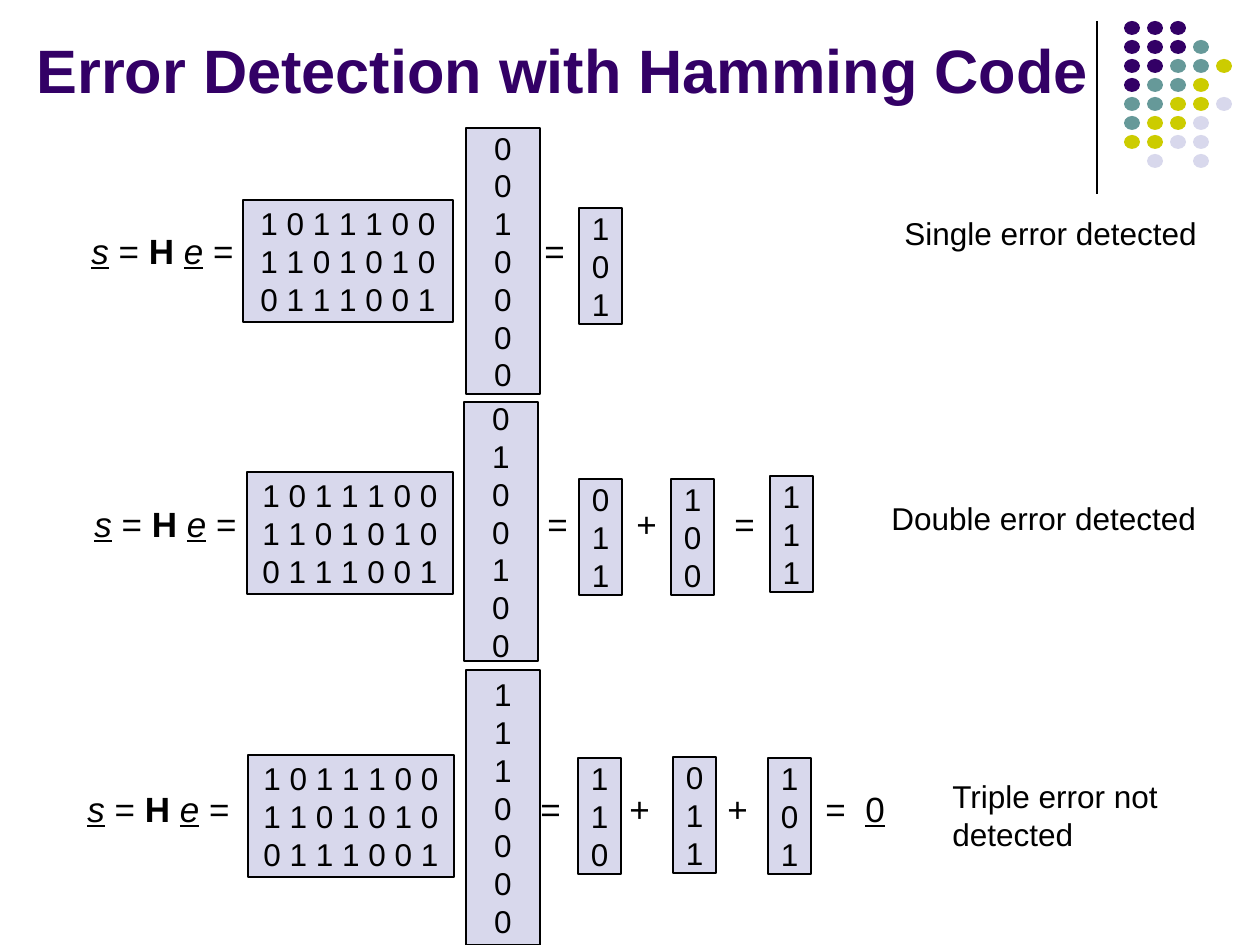
from lxml import etree
from pptx import Presentation
from pptx.dml.color import RGBColor
from pptx.enum.shapes import MSO_CONNECTOR, MSO_SHAPE
from pptx.enum.text import MSO_ANCHOR as Anchor, PP_ALIGN as Align
from pptx.oxml.ns import qn
from pptx.util import Pt

PX = 914400 / 126
BLACK, PURPLE, TEAL, LIME, LILAC = "000000", "330066", "669999", "CCCC00", "D8D8EC"
DOT_COLORS = {"P": PURPLE, "T": TEAL, "L": LIME, "W": LILAC}
DOT_ROWS = ["PPP", "PPPT", "PPTTL", "PTTL", "TTLLW", "TLLW", "LLWW", " W W"]
PARITY_MATRIX = ["1 0 1 1 1 0 0", "1 1 0 1 0 1 0", "0 1 1 1 0 0 1"]
OPERATOR_TABS = [453, 542, 640, 738, 778]
PLAIN, BOLD = {}, {"bold": True}
UNDERLINED = {"underline": True}
VECTOR_NAME = {"italic": True, "underline": True}

# Boxes are (left, top, width, height) in px; columns are (left, top, digits).
ROWS = [
    {"equation": (79, 223, 502, 54), "operators": "=", "result": "",
     "matrix": (243, 200, 210, 122),
     "error": ((466, 128, 74, 266), "0010000"),
     "columns": [(579, 208, "101")],
     "label": (892, 208, 318, 88), "text": "Single error detected"},
    {"equation": (82, 496, 732, 54), "operators": "=+=", "result": "",
     "matrix": (247, 472, 206, 122),
     "error": ((464, 402, 74, 259), "0100100"),
     "columns": [(579, 479, "011"), (671, 479, "100"), (770, 476, "111")],
     "label": (879, 493, 330, 88), "text": "Double error detected"},
    {"equation": (75, 781, 843, 54), "operators": "=++=", "result": "0",
     "matrix": (248, 755, 206, 122),
     "error": ((466, 670, 74, 275), "1110000"),
     "columns": [(578, 758, "110"), (673, 757, "011"), (768, 758, "101")],
     "label": (940, 771, 286, 88), "text": "Triple error not detected"},
]


def px(value):
    return round(value * PX)


def color(hex_value):
    return RGBColor.from_string(hex_value)


def add_span(para, text, size, font_color=BLACK, style=PLAIN):
    span = para.add_run()
    span.text = text
    font = span.font
    font.color.rgb = color(font_color)
    for name, value in {"name": "Arial", "size": Pt(size), **style}.items():
        setattr(font, name, value)


def add_text(page, box, spans, size, font_color=BLACK, anchor=Anchor.TOP):
    """Add a one-paragraph text box from (text, style) pairs and return the paragraph."""
    frame = page.shapes.add_textbox(*map(px, box)).text_frame
    frame.word_wrap = True
    frame.vertical_anchor = anchor
    para = frame.paragraphs[0]
    for text, style in spans:
        add_span(para, text, size, font_color, style)
    return para


def add_filled(page, kind, box, fill):
    shape = page.shapes.add_shape(kind, *map(px, box))
    shape.shadow.inherit = False
    shape.fill.solid()
    shape.fill.fore_color.rgb = color(fill)
    shape.line.fill.background()
    return shape


def add_matrix(page, box, lines):
    """Add a bordered box with one centred paragraph per matrix row."""
    shape = add_filled(page, MSO_SHAPE.RECTANGLE, box, LILAC)
    shape.line.color.rgb = color(BLACK)
    shape.line.width = Pt(1)
    frame = shape.text_frame
    frame.word_wrap = False
    frame.vertical_anchor = Anchor.MIDDLE
    for index, line in enumerate(lines):
        para = frame.add_paragraph() if index else frame.paragraphs[0]
        para.alignment = Align.CENTER
        add_span(para, line, 18)


def add_equation(page, box, operators, result):
    """Add s = H e = ..., with its operators set on tab stops."""
    spans = [("s", VECTOR_NAME), (" = ", PLAIN), ("H ", BOLD), ("e", VECTOR_NAME),
             (" =\t" + "\t".join(operators), PLAIN)]
    if result:
        spans += [("\t", PLAIN), (result, UNDERLINED)]
    para = add_text(page, box, spans, 20)
    tab_list = etree.SubElement(para._p.get_or_add_pPr(), qn("a:tabLst"))
    for position in OPERATOR_TABS:
        etree.SubElement(tab_list, qn("a:tab"), pos=str(px(position)), algn="l")


def add_dots(page):
    for row, codes in enumerate(DOT_ROWS):
        for column, code in enumerate(codes):
            if code in DOT_COLORS:
                box = (1124 + 23 * column, 21 + 19 * row, 16, 14)
                add_filled(page, MSO_SHAPE.OVAL, box, DOT_COLORS[code])


def add_divider(page):
    line = page.shapes.add_connector(
        MSO_CONNECTOR.STRAIGHT, px(1097), px(21), px(1097), px(194))
    line.line.color.rgb = color(BLACK)
    line.line.width = Pt(0.75)
    etree.SubElement(line._element.spPr, qn("a:effectLst"))


def add_row(page, row):
    add_equation(page, row["equation"], row["operators"], row["result"])
    add_matrix(page, row["matrix"], PARITY_MATRIX)
    add_matrix(page, *row["error"])
    for left, top, digits in row["columns"]:
        add_matrix(page, (left, top, 43, 116), digits)
    add_text(page, row["label"], [(row["text"], PLAIN)], 18)


def main():
    deck = Presentation()
    deck.slide_width, deck.slide_height = px(1260), px(945)
    page = deck.slides.add_slide(deck.slide_layouts[6])
    add_divider(page)
    add_dots(page)
    for row in ROWS:
        add_row(page, row)
    add_text(page, (24, 16, 1079, 96), [("Error Detection with Hamming Code", BOLD)],
             35, PURPLE, Anchor.BOTTOM)
    deck.save("out.pptx")


if __name__ == "__main__":
    main()
